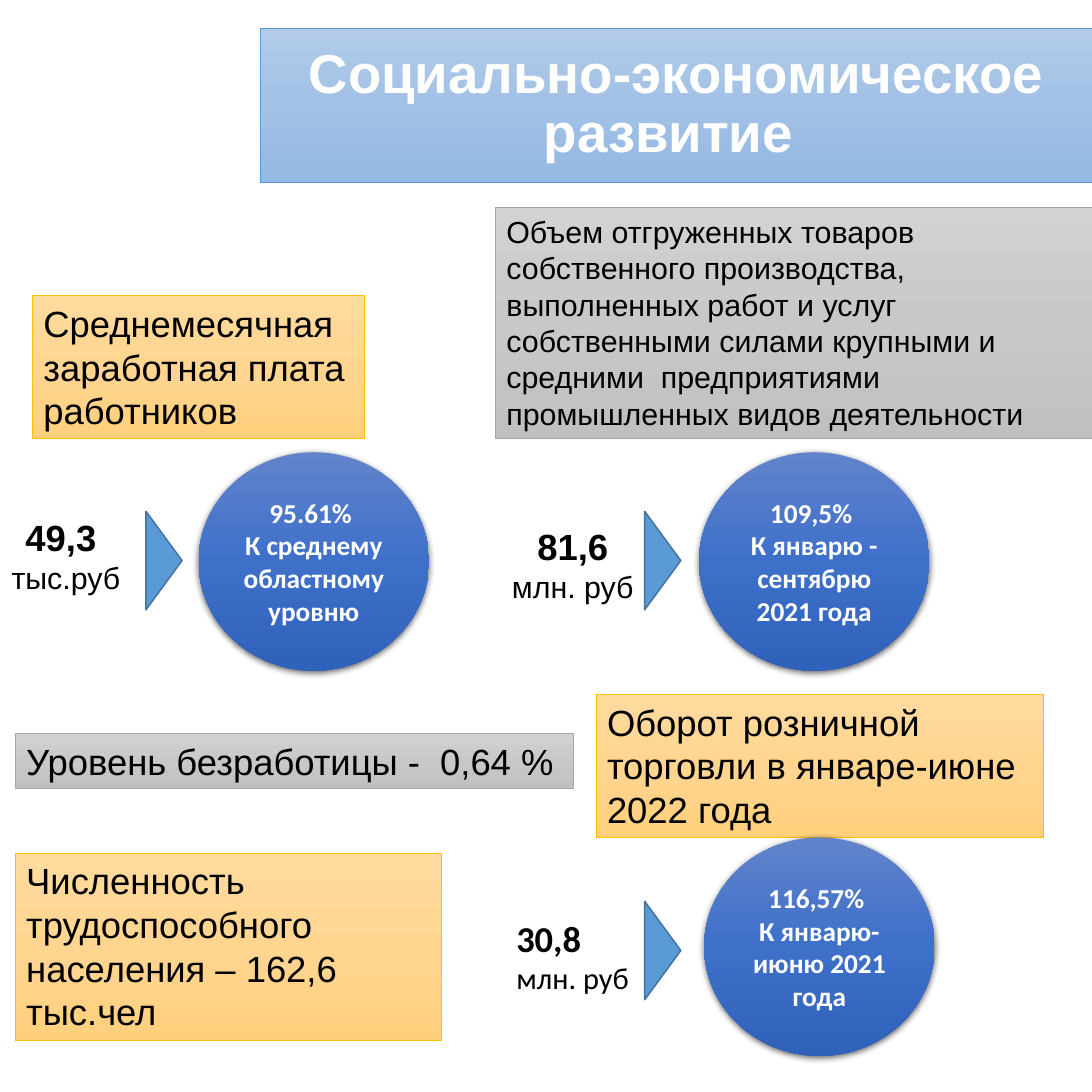
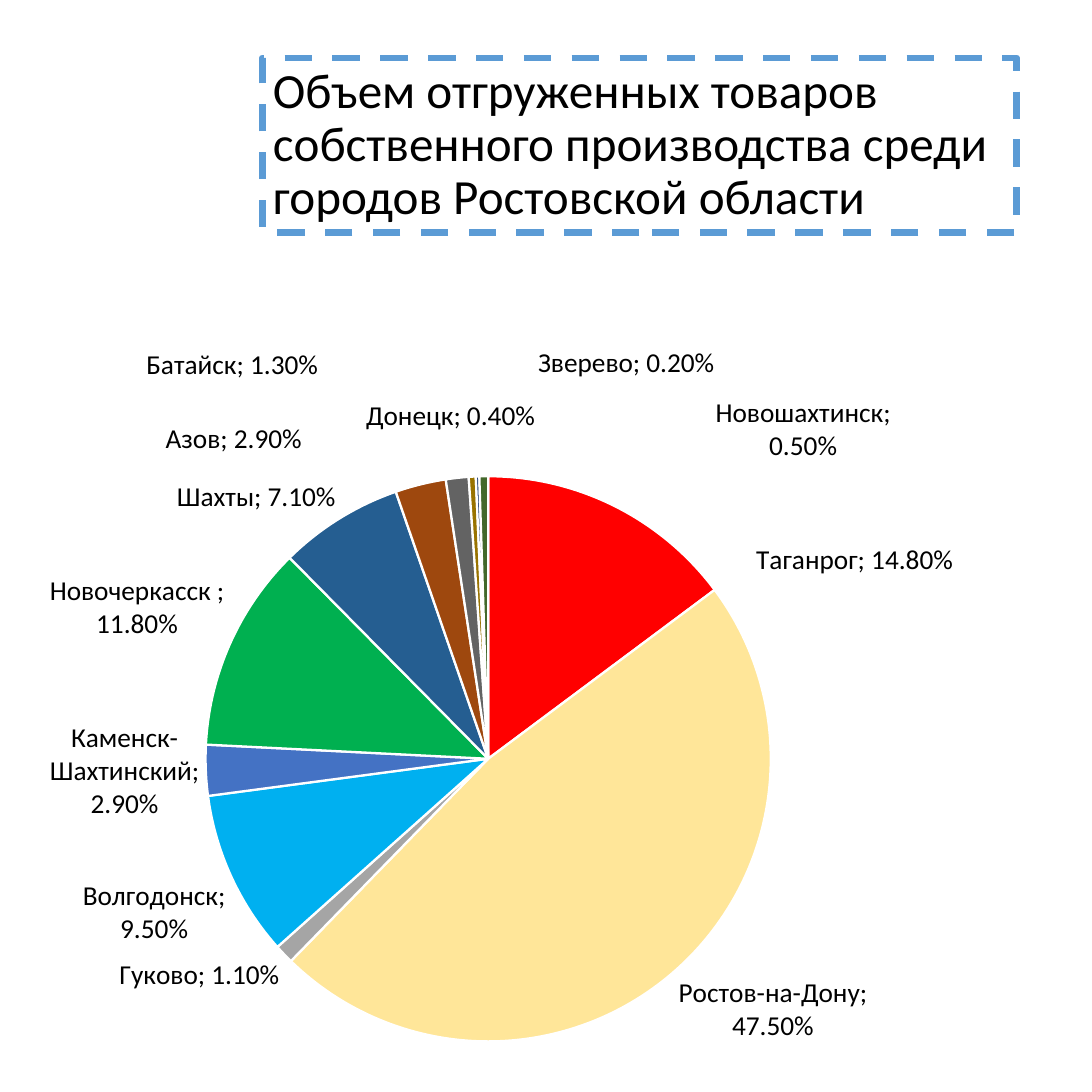
"""Build two slides on the social and economic development of a city."""
import copy
from dataclasses import dataclass
from typing import Any, NamedTuple

import pptx
import pptx.chart.data
import pptx.dml.color
import pptx.enum.chart
import pptx.enum.dml
import pptx.enum.shapes
import pptx.enum.text
import pptx.oxml
import pptx.oxml.ns
import pptx.slide
import pptx.util

Cm = pptx.util.Cm
Pt = pptx.util.Pt
Shape = pptx.enum.shapes.MSO_SHAPE
Align = pptx.enum.text.PP_ALIGN
Anchor = pptx.enum.text.MSO_ANCHOR
AutoSize = pptx.enum.text.MSO_AUTO_SIZE

BLACK, WHITE, BLUE, DARK_BLUE = "000000", "FFFFFF", "5B9BD5", "43739E"
SKY = ("B1CBE9", "A3C1E5", "93B9E4")
AMBER = ("FFDB9E", "FFD590", "FFD07C")
SILVER = ("D2D2D2", "C8C8C8", "C0C0C0")
ROYAL = ("6183CB", "3E70CA", "3062BB")
ACCENTS = {AMBER: "FFC000", SILVER: "A5A5A5"}

CARD_FORMAT = {"vertical_anchor": Anchor.TOP, "auto_size": AutoSize.SHAPE_TO_FIT_TEXT}
MIDDLE_FORMAT = {"vertical_anchor": Anchor.MIDDLE}
LABEL_FONT = {"name": "Calibri", "size": Pt(18)}
CIRCLE_FONT = {**LABEL_FONT, "bold": True}


class Frame(NamedTuple):
    left: float
    top: float
    width: float
    height: float


class Line(NamedTuple):
    text: str
    font: dict[str, Any]


class Slice(NamedTuple):
    city: str
    share: float
    color: str
    shift: tuple[float, float] | None = None


@dataclass
class Card:
    text: str
    frame: Frame
    colors: tuple[str, str, str]
    size: int = 24


@dataclass
class Indicator:
    value: str
    unit: str
    value_frame: Frame
    arrow_at: tuple[float, float]
    circle_at: tuple[float, float]
    growth: tuple[str, str]
    font: str = "Arial"
    align: Any = Align.CENTER
    wrap: bool = False


CARDS = [
    Card("Среднемесячная заработная плата работников", Frame(0.76, 6.88, 7.72, 3.33), AMBER),
    Card("Объем отгруженных товаров собственного производства, выполненных работ "
         "и услуг собственными силами крупными и средними  предприятиями "
         "промышленных видов деятельности", Frame(11.53, 4.83, 13.87, 5.38), SILVER, 20),
    Card("Оборот розничной торговли в январе-июне 2022 года",
         Frame(13.87, 16.15, 10.41, 3.33), AMBER),
    Card("Уровень безработицы -  0,64 %", Frame(0.36, 17.07, 12.98, 1.27), SILVER),
    Card("Численность трудоспособного населения – 162,6 тыс.чел",
         Frame(0.36, 19.84, 9.91, 4.37), AMBER),
]

INDICATORS = [
    Indicator("49,3 ", "тыс.руб", Frame(0, 11.86, 3.07, 2.13), (2.67, 12.62), (4.62, 10.52),
              ("95.61% ", "К среднему областному уровню")),
    Indicator("81,6", "млн. руб", Frame(11.51, 12.07, 3.63, 2.13), (14.27, 12.62),
              (16.26, 10.52), ("109,5% ", "К январю - сентябрю 2021 года"), wrap=True),
    Indicator("30,8", "млн. руб", Frame(11.76, 21.18, 3.15, 2.13), (14.27, 21.69),
              (16.38, 19.48), ("116,57% ", "К январю-июню 2021 года"),
              font="Calibri", align=Align.LEFT),
]

SLICES = [
    Slice("Таганрог", 0.148, "FF0000", (0.13, 0.1)),
    Slice("Ростов-на-Дону", 0.475, "FFE699"),
    Slice("Гуково", 0.011, "A5A5A5"),
    Slice("Волгодонск", 0.095, "00B0F0"),
    Slice("Каменск-Шахтинский", 0.029, "4472C4"),
    Slice("Новочеркасск ", 0.118, "00B050"),
    Slice("Шахты", 0.071, "255E91"),
    Slice("Азов", 0.029, "9E480E", (-0.11, -0.03)),
    Slice("Батайск", 0.013, "636363", (-0.13, -0.12)),
    Slice("Донецк", 0.004, "997300", (-0.02, -0.05)),
    Slice("Зверево", 0.002, "264478", (0.14, -0.12)),
    Slice("Новошахтинск", 0.005, "43682B", (0.3, -0.01)),
]


def rgb(color: str) -> pptx.dml.color.RGBColor:
    """Turn a hex string into a colour."""
    return pptx.dml.color.RGBColor.from_string(color)


def apply(target: Any, formats: dict[str, Any]) -> None:
    """Set every format value on the target."""
    for name, value in formats.items():
        setattr(target, name, value)


def lengths(frame: Frame) -> list[pptx.util.Length]:
    """Give the frame as slide lengths."""
    return [Cm(value) for value in frame]


def write(box: Any, lines: list[Line], color: str, frame_format: dict[str, Any],
          para_format: dict[str, Any]) -> None:
    """Write one paragraph for each line."""
    text = box.text_frame
    apply(text, {"word_wrap": True, **frame_format})
    for index, line in enumerate(lines):
        para = text.add_paragraph() if index else text.paragraphs[0]
        apply(para, para_format)
        span = para.add_run()
        span.text = line.text
        apply(span.font, line.font)
        span.font.color.rgb = rgb(color)


def add_box(page: pptx.slide.Slide, kind: Any, frame: Frame, colors: tuple[str, ...],
            outline: str | None = None, weight: float = 0.5) -> Any:
    """Add a shape with a plain or a three-stop vertical fill."""
    box = page.shapes.add_shape(kind, *lengths(frame))
    box.shadow.inherit = False
    if len(colors) == 1:
        box.fill.solid()
        box.fill.fore_color.rgb = rgb(colors[0])
    else:
        box.fill.gradient()
        box.fill.gradient_angle = 270
        stops = box.element.xpath(".//a:gsLst")[0]
        stops.insert(1, copy.deepcopy(stops[0]))
        for index, (stop, color) in enumerate(zip(box.fill.gradient_stops, colors)):
            stop.position = index / 2
            stop.color.rgb = rgb(color)
    if outline:
        box.line.color.rgb = rgb(outline)
        box.line.width = Pt(weight)
    else:
        box.line.fill.background()
    return box


def add_title(page: pptx.slide.Slide, line: Line, frame: Frame, colors: tuple[str, ...],
              color: str, align: Any, weight: float = 0.5) -> Any:
    """Add the framed title of a slide."""
    box = add_box(page, Shape.RECTANGLE, frame, colors, BLUE, weight)
    write(box, [line], color, MIDDLE_FORMAT, {"alignment": align, "line_spacing": 0.9})
    return box


def add_card(page: pptx.slide.Slide, card: Card) -> None:
    """Add a tinted card with its text."""
    box = add_box(page, Shape.RECTANGLE, card.frame, card.colors, ACCENTS[card.colors])
    line = Line(card.text, {"name": "Arial", "size": Pt(card.size)})
    write(box, [line], BLACK, CARD_FORMAT, {"alignment": Align.LEFT})


def add_indicator(page: pptx.slide.Slide, item: Indicator) -> None:
    """Add a value, an arrow and a circle with the growth."""
    label = page.shapes.add_textbox(*lengths(item.value_frame))
    lines = [Line(item.value, {"name": item.font, "size": Pt(24), "bold": True}),
             Line(item.unit, {"name": item.font, "size": Pt(20)})]
    write(label, lines, BLACK, {**CARD_FORMAT, "word_wrap": item.wrap},
          {"alignment": item.align})

    circle = add_box(page, Shape.FLOWCHART_CONNECTOR, Frame(*item.circle_at, 5.36, 5.08), ROYAL)
    circle.element.xpath("./p:spPr/a:effectLst")[0].append(pptx.oxml.parse_xml(
        f'<a:outerShdw {pptx.oxml.ns.nsdecls("a")} blurRad="57150" dist="19050" '
        'dir="5400000" algn="ctr" rotWithShape="0"><a:srgbClr val="000000">'
        '<a:alpha val="63000"/></a:srgbClr></a:outerShdw>'))
    write(circle, [Line(text, CIRCLE_FONT) for text in item.growth], WHITE,
          MIDDLE_FORMAT, {"alignment": Align.CENTER})

    arrow = add_box(page, Shape.ISOSCELES_TRIANGLE, Frame(*item.arrow_at, 2.29, 0.84),
                    (BLUE,), DARK_BLUE, 1)
    arrow.rotation = 90


def manual_layout(values: dict[str, Any]) -> Any:
    """Make a manual chart layout from its values."""
    parts = "".join(f'<c:{name} val="{value}"/>' for name, value in values.items())
    return pptx.oxml.parse_xml(f'<c:layout {pptx.oxml.ns.nsdecls("c")}>'
                               f'<c:manualLayout>{parts}</c:manualLayout></c:layout>')


def add_pie(page: pptx.slide.Slide, frame: Frame) -> None:
    """Add the pie of city shares with its labels."""
    data = pptx.chart.data.CategoryChartData(number_format="0.00%")
    data.categories = [item.city for item in SLICES]
    data.add_series("Series 1", [item.share for item in SLICES])
    chart = page.shapes.add_chart(
        pptx.enum.chart.XL_CHART_TYPE.PIE, *lengths(frame), data).chart
    apply(chart, {"has_legend": False, "has_title": False})
    apply(chart.font, {"name": "Calibri", "size": Pt(10)})
    chart.font.color.rgb = rgb(BLACK)
    chart.plots[0].vary_by_categories = True

    outside = pptx.enum.chart.XL_LABEL_POSITION.OUTSIDE_END
    series = chart.plots[0].series[0]
    labels = series.data_labels
    apply(labels, {"show_value": True, "show_category_name": True, "position": outside,
                   "number_format": "0.00%", "number_format_is_linked": False})
    apply(labels.font, LABEL_FONT)
    labels.font.color.rgb = rgb(BLACK)

    for index, item in enumerate(SLICES):
        point = series.points[index]
        point.format.fill.solid()
        point.format.fill.fore_color.rgb = rgb(item.color)
        point.format.line.color.rgb = rgb(WHITE)
        point.format.line.width = Pt(1.5)
        if item.shift:
            label = point.data_label
            apply(label.font, LABEL_FONT)
            label.font.color.rgb = rgb(BLACK)
            label.position = outside
            element = chart.element.xpath(f"//c:dLbl[c:idx/@val='{index}']")[0]
            element.insert(1, manual_layout(dict(zip("xy", item.shift))))

    for query, value in (("//c:dLbl/c:showCatName", "1"), ("//c:showLeaderLines", "0")):
        for element in chart.element.xpath(query):
            element.set("val", value)
    area = chart.element.xpath("//c:plotArea")[0]
    for layout in area.xpath("./c:layout"):
        area.remove(layout)
    area.insert(0, manual_layout({"layoutTarget": "inner", "xMode": "edge", "yMode": "edge",
                                  "x": 0.193, "y": 0.183, "w": 0.531, "h": 0.75}))


def main() -> None:
    """Build and save the deck."""
    deck = pptx.Presentation()
    apply(deck, {"slide_width": Cm(25.4), "slide_height": Cm(25.4)})
    overview, cities = [deck.slides.add_slide(deck.slide_layouts[6]) for _ in range(2)]

    add_title(overview, Line("Социально-экономическое развитие ",
                             {"name": "Arial", "size": Pt(36), "bold": True}),
              Frame(6.05, 0.66, 19.35, 3.58), SKY, WHITE, Align.CENTER)
    for card in CARDS:
        add_card(overview, card)
    for item in INDICATORS:
        add_indicator(overview, item)

    title = add_title(cities, Line("Объем отгруженных товаров собственного производства "
                                   "среди городов Ростовской области",
                                   {"name": "Calibri", "size": Pt(32.4)}),
                      Frame(6.1, 1.35, 17.55, 4.06), (WHITE,), BLACK, Align.LEFT, 4.5)
    title.line.dash_style = pptx.enum.dml.MSO_LINE.DASH
    add_pie(cities, Frame(0, 7.87, 24.77, 17.53))
    deck.save("out.pptx")


if __name__ == "__main__":
    main()
